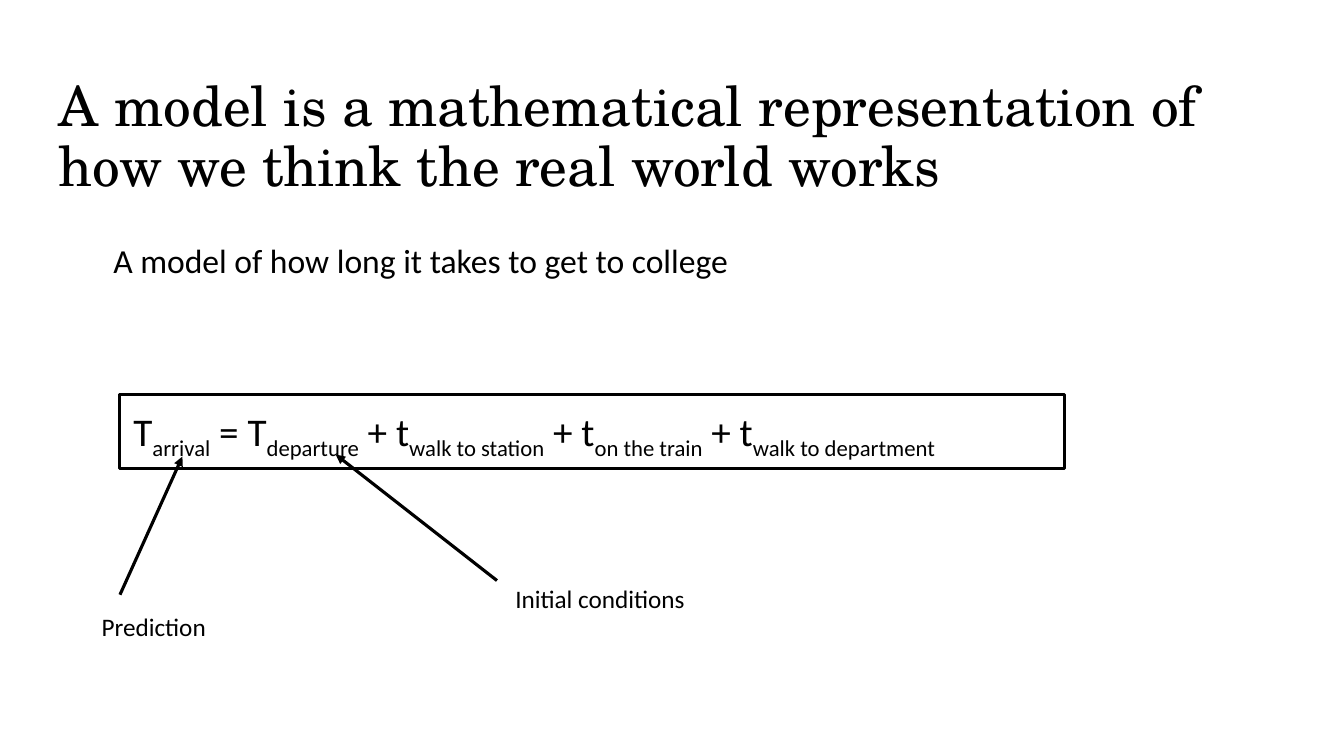
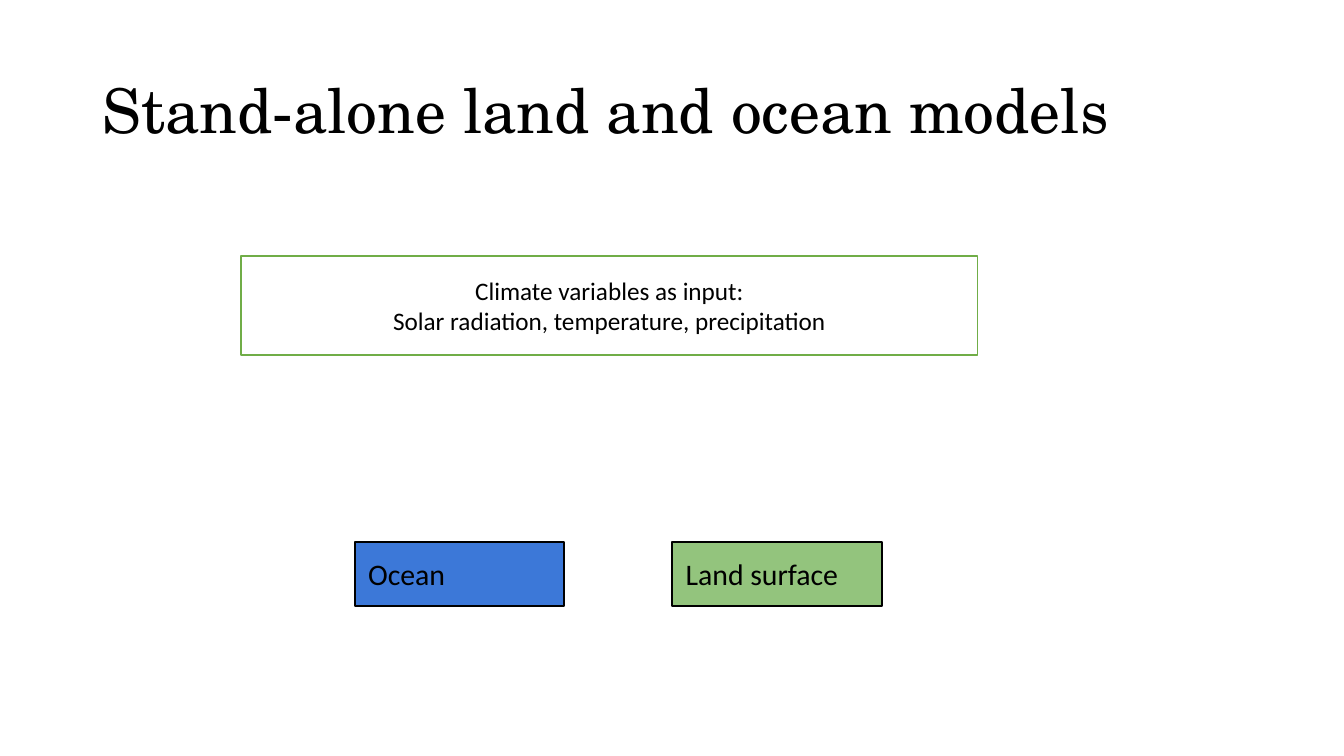
import pptx
import pptx.dml.color
import pptx.enum.shapes
import pptx.enum.text
import pptx.oxml.ns
import pptx.util
import lxml.etree

Pt = pptx.util.Pt
RGBColor = pptx.dml.color.RGBColor
Anchor = pptx.enum.text.MSO_ANCHOR
Align = pptx.enum.text.PP_ALIGN

BLACK = RGBColor(0x00, 0x00, 0x00)
WHITE = RGBColor(0xFF, 0xFF, 0xFF)
OCEAN_BLUE = RGBColor(0x3C, 0x78, 0xD8)
LAND_GREEN = RGBColor(0x93, 0xC4, 0x7D)
INPUT_GREEN = RGBColor(0x70, 0xAD, 0x47)

TITLE_FONT = "TeX Gyre Schola"
BODY_FONT = "Calibri"
NARROW = (7.2, 3.6)
WIDE = (9.6, 9.6)
SUBSCRIPT = "-25000"


def add_child(parent, tag, **attributes):
    return lxml.etree.SubElement(parent, pptx.oxml.ns.qn(tag), attributes)


def write_text(shape, paragraphs, size, font=BODY_FONT, insets=NARROW,
               anchor=Anchor.TOP, align=Align.LEFT, wrap=True, spacing=None):
    frame = shape.text_frame
    side, edge = map(Pt, insets)
    frame_format = {"word_wrap": wrap, "vertical_anchor": anchor,
                    "margin_left": side, "margin_right": side,
                    "margin_top": edge, "margin_bottom": edge}
    for name, value in frame_format.items():
        setattr(frame, name, value)
    for index, pieces in enumerate(paragraphs):
        para = frame.paragraphs[0] if index == 0 else frame.add_paragraph()
        para.alignment = align
        if spacing:
            para.line_spacing = spacing
        for text, lowered in pieces:
            span = para.add_run()
            span.text = text
            for name, value in {"name": font, "size": Pt(size)}.items():
                setattr(span.font, name, value)
            span.font.color.rgb = BLACK
            if lowered:
                span.font._element.set("baseline", SUBSCRIPT)


def plain(*lines):
    return [[(line, False)] for line in lines]


def add_text(page, box, text, size, **layout):
    shape = page.shapes.add_textbox(*map(Pt, box))
    write_text(shape, plain(text), size, **layout)


def add_title(page, box, text, size, **layout):
    add_text(page, box, text, size, font=TITLE_FONT, spacing=0.9, **layout)


def add_panel(page, box, paragraphs, size, line, weight, fill=None, **layout):
    shape = page.shapes.add_shape(
        pptx.enum.shapes.MSO_SHAPE.RECTANGLE, *map(Pt, box))
    shape.shadow.inherit = False
    if fill is None:
        shape.fill.background()
    else:
        shape.fill.solid()
        shape.fill.fore_color.rgb = fill
    shape.line.color.rgb = line
    shape.line.width = Pt(weight)
    write_text(shape, paragraphs, size, **layout)


def add_arrow(page, start, end):
    arrow = page.shapes.add_connector(
        pptx.enum.shapes.MSO_CONNECTOR.STRAIGHT, *map(Pt, start + end))
    arrow.line.color.rgb = BLACK
    arrow.line.width = Pt(2.25)
    add_child(arrow.line._get_or_add_ln(), "a:tailEnd", type="triangle")
    add_child(arrow._element.spPr, "a:effectLst")


def add_equation(page, box):
    left, top, width, height = box
    terms = [("T", "arrival"), (" = T", "departure"),
             (" + t", "walk to station"), (" + t", "on the train"),
             (" + t", "walk to department")]
    pieces = [(text, lowered) for term in terms
              for text, lowered in zip(term, (False, True))]
    add_panel(page, box, [pieces], 28, BLACK, 2.25, insets=WIDE)

    notes = [
        ("Initial conditions", (275.3, 131.8, 136.8, 28.8),
         (269.3, 133.2), (154.1, 43.2)),
        ("Prediction", (-20.2, 151.9, 90, 28.8), (0, 143.3), (44.6, 44.6)),
    ]
    for text, (x, y, *size), start, end in notes:
        add_arrow(page, (left + start[0], top + start[1]),
                  (left + end[0], top + end[1]))
        add_text(page, (left + x, top + y, *size), text, 18, wrap=False)


def add_components(page, box):
    left, top, width, height = box
    components = [("Ocean", OCEAN_BLUE), ("Land surface", LAND_GREEN)]
    panel_width = 149.8
    step = (width - panel_width) / (len(components) - 1)
    for index, (name, fill) in enumerate(components):
        add_panel(page, (left + index * step, top, panel_width, height),
                  plain(name), 21.3, BLACK, 1.5, fill, insets=WIDE)


def build_model_page(page):
    add_title(page, (32.4, 46.8, 894.2, 60.5),
              "A model is a mathematical representation of how we think "
              "the real world works", 39.6, insets=WIDE)
    add_text(page, (71.3, 162, 514, 48.2),
             "A model of how long it takes to get to college", 24, insets=WIDE)
    add_equation(page, (85.7, 281.5, 674.6, 53.3))


def build_components_page(page):
    add_title(page, (66.2, 28.8, 828, 104.4),
              "Stand-alone land and ocean models", 44, anchor=Anchor.MIDDLE)
    add_components(page, (253.4, 387.4, 376.6, 45.4))
    add_panel(page, (172.1, 182.9, 526.3, 70.6),
              plain("Climate variables as input:",
                    "Solar radiation, temperature, precipitation"),
              18, INPUT_GREEN, 1, WHITE,
              anchor=Anchor.MIDDLE, align=Align.CENTER)


def main():
    deck = pptx.Presentation()
    deck.slide_width, deck.slide_height = Pt(960), Pt(540)
    for build in (build_model_page, build_components_page):
        build(deck.slides.add_slide(deck.slide_layouts[6]))
    deck.save("out.pptx")


if __name__ == "__main__":
    main()
